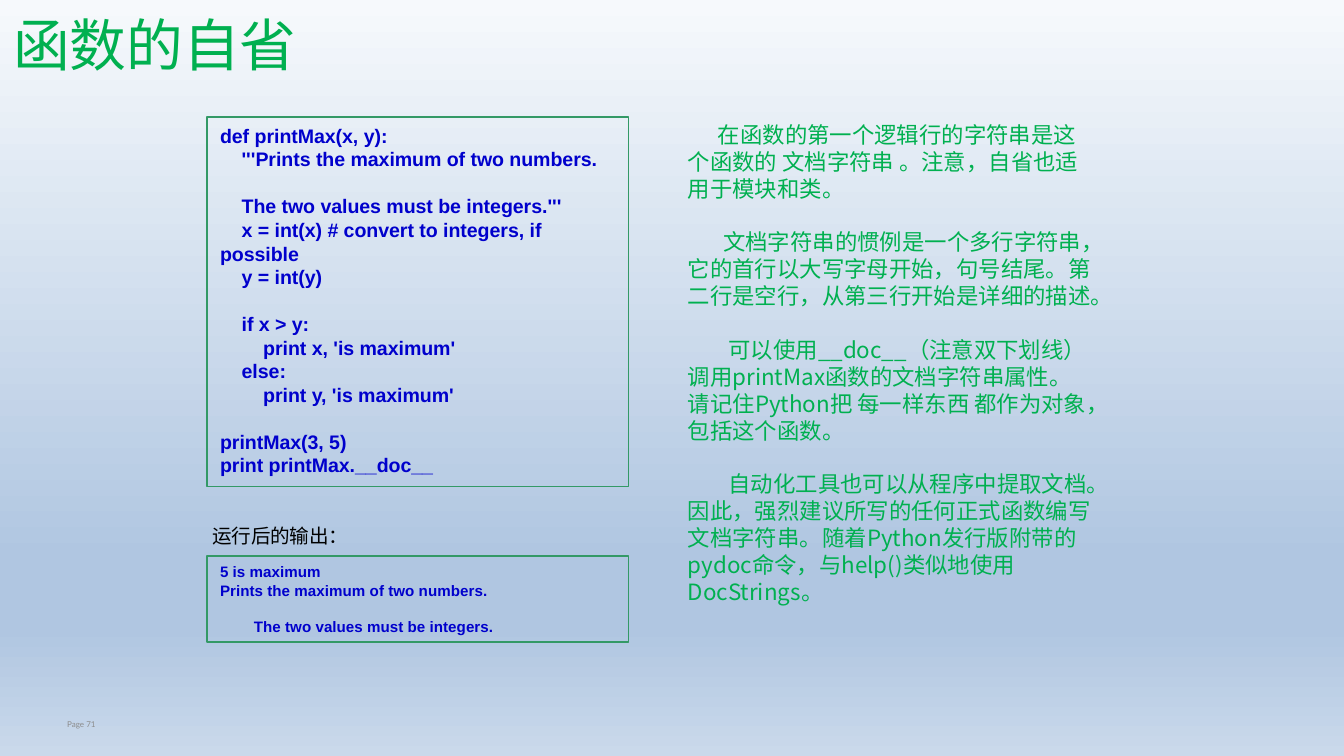
from lxml import etree
from pptx import Presentation
from pptx.dml.color import RGBColor
from pptx.enum.shapes import MSO_SHAPE
from pptx.enum.text import MSO_ANCHOR, PP_ALIGN
from pptx.oxml.ns import qn
from pptx.util import Cm, Pt

RECT = MSO_SHAPE.RECTANGLE
LEFT = PP_ALIGN.LEFT
TOP, MIDDLE = MSO_ANCHOR.TOP, MSO_ANCHOR.MIDDLE
CJK, LATIN, SMALL = "Noto Sans CJK SC", "Arial", "Lato"
GREEN, BLUE, BLACK, GREY, BORDER = "00B050", "0000CC", "000000", "8C8C8C", "339966"

BACKGROUND = [(0, "F6F9FC"), (74, "B0C6E1"), (83, "B0C6E1"), (100, "CAD9EB")]

TITLE = "函数的自省"
CODE = """def printMax(x, y):
    '''Prints the maximum of two numbers.

    The two values must be integers.'''
    x = int(x) # convert to integers, if possible
    y = int(y)

    if x > y:
        print x, 'is maximum'
    else:
        print y, 'is maximum'

printMax(3, 5)
print printMax.__doc__"""
OUTPUT_LABEL = "运行后的输出："
OUTPUT = """5 is maximum
Prints the maximum of two numbers.

        The two values must be integers."""
NOTES = [
    ("在函数的第一个逻辑行的字符串是这个函数的 文档字符串 。注意，自省也适用于模块和类。", 0.57),
    ("文档字符串的惯例是一个多行字符串，它的首行以大写字母开始，句号结尾。第二行是空行，从第三行开始是详细的描述。", 0.67),
    ("可以使用__doc__（注意双下划线）调用printMax函数的文档字符串属性。请记住Python把 每一样东西 都作为对象，包括这个函数。", 0.77),
    ("自动化工具也可以从程序中提取文档。因此，强烈建议所写的任何正式函数编写文档字符串。随着Python发行版附带的pydoc命令，与help()类似地使用DocStrings。", 0.77),
]
PAGE = "Page 71"

WIDE, NARROW, NONE = (0.25, 0.13), (0.1, 0.05), (0, 0)
LINE_FACTOR = 1.2


def rgb(value):
    return RGBColor.from_string(value)


def paint_background(s):
    fill = s.background.fill
    fill.gradient()
    fill.gradient_angle = 270
    stops = next(s._element.iter(qn("a:gsLst")))
    for stop in list(stops):
        stops.remove(stop)
    for position, color in BACKGROUND:
        stop = etree.SubElement(stops, qn("a:gs"), pos=str(position * 1000))
        etree.SubElement(stop, qn("a:srgbClr"), val=color)


def write(sp, paragraphs, size, font, color, bold=False, inset=WIDE, anchor=TOP, wrap=True):
    tf = sp.text_frame
    tf.word_wrap = wrap
    tf.vertical_anchor = anchor
    tf.margin_left = tf.margin_right = Cm(inset[0])
    tf.margin_top = tf.margin_bottom = Cm(inset[1])
    leading = Pt(size * LINE_FACTOR)
    for i, (text, indent) in enumerate(paragraphs):
        p = tf.add_paragraph() if i else tf.paragraphs[0]
        p.text = text
        p.alignment = LEFT
        p.line_spacing = leading
        p.space_before = leading if i else Pt(0)
        if indent:
            p._p.get_or_add_pPr().set("indent", str(Cm(indent)))
        for r in p.runs:
            r.font.size = Pt(size)
            r.font.bold = bold
            r.font.name = font
            r.font.color.rgb = rgb(color)
            if font == CJK:
                etree.SubElement(r._r.get_or_add_rPr(), qn("a:ea"), typeface=font)


def add_text(s, box, paragraphs, *style, **options):
    sp = s.shapes.add_textbox(*map(Cm, box))
    write(sp, paragraphs, *style, **options)


def add_panel(s, box, text, size):
    sp = s.shapes.add_shape(RECT, *map(Cm, box))
    sp.shadow.inherit = False
    sp.fill.background()
    sp.line.color.rgb = rgb(BORDER)
    sp.line.width = Pt(0.75)
    write(sp, [(text, 0)], size, LATIN, BLUE, bold=True)


def main():
    prs = Presentation()
    prs.slide_width, prs.slide_height = Cm(25.4), Cm(14.29)
    s = prs.slides.add_slide(prs.slide_layouts[6])
    paint_background(s)
    add_text(s, (0, 0.15, 19.05, 1.35), [(TITLE, 0)], 30.4, CJK, GREEN, anchor=MIDDLE)
    add_panel(s, (3.91, 2.21, 7.97, 6.99), CODE, 10.5)
    add_panel(s, (3.91, 10.51, 7.97, 1.63), OUTPUT, 8.1)
    add_text(s, (3.91, 9.85, 2.77, 0.53), [(OUTPUT_LABEL, 0)], 10.5, LATIN, BLACK,
             inset=NARROW, wrap=False)
    add_text(s, (12.9, 2.24, 7.82, 9.83), NOTES, 12, CJK, GREEN, inset=NARROW)
    add_text(s, (1.27, 13.32, 5.92, 0.76), [(PAGE, 0)], 4.3, SMALL, GREY,
             inset=NONE, anchor=MIDDLE)
    prs.save("out.pptx")


if __name__ == "__main__":
    main()
